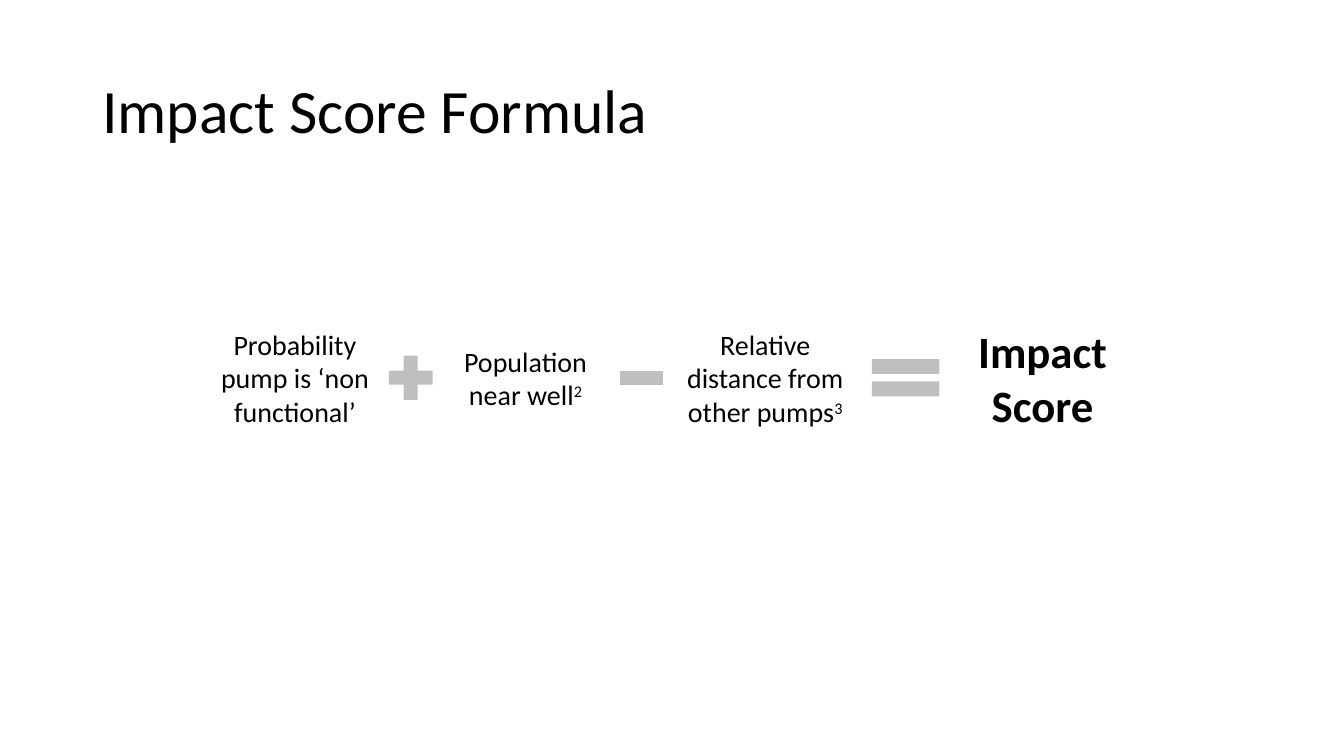
from pptx import Presentation
from pptx.dml.color import RGBColor
from pptx.enum.shapes import MSO_SHAPE
from pptx.enum.text import MSO_ANCHOR, PP_ALIGN
from pptx.util import Cm, Pt

FONT, BLACK, GREY = "Calibri", "000000", "BFBFBF"
TITLE = "Impact Score Formula"
MIDDLE = 9.52

# left, width, height, size, bold, text, superscript
TERMS = [
    (5.11, 4.65, 2.82, 20, False, "Probability pump is ‘non functional’", ""),
    (10.92, 4.65, 1.96, 20, False, "Population near well", "2"),
    (16.76, 5.05, 2.82, 20, False, "Relative distance from other pumps", "3"),
    (23.8, 4.95, 3.0, 32, True, "Impact Score", ""),
]
# left, width, height, shape
OPERATORS = [
    (9.6, 1.5, 1.52, MSO_SHAPE.MATH_PLUS),
    (15.42, 1.5, 1.52, MSO_SHAPE.MATH_MINUS),
    (21.67, 2.31, 1.6, MSO_SHAPE.MATH_EQUAL),
]


def colour(value):
    """Turn a hex string into a colour."""
    return RGBColor.from_string(value)


def add_span(para, text, size, bold=False, raised=False):
    """Add one styled run to a paragraph."""
    span = para.add_run()
    span.text = text
    span.font.name, span.font.size, span.font.bold = FONT, Pt(size), bold
    span.font.color.rgb = colour(BLACK)
    if raised:
        span._r.get_or_add_rPr().set("baseline", "30000")


def add_text(page, left, top, width, height, align):
    """Add a wrapped, vertically centred text box and return its paragraph."""
    box = page.shapes.add_textbox(Cm(left), Cm(top), Cm(width), Cm(height))
    box.text_frame.word_wrap = True
    box.text_frame.vertical_anchor = MSO_ANCHOR.MIDDLE
    para = box.text_frame.paragraphs[0]
    para.alignment = align
    return para


def add_operator(page, left, width, height, kind):
    """Add a grey operator centred on the formula line."""
    sign = page.shapes.add_shape(
        kind, Cm(left), Cm(MIDDLE - height / 2), Cm(width), Cm(height))
    sign.shadow.inherit = False
    sign.fill.solid()
    sign.fill.fore_color.rgb = colour(GREY)
    sign.line.fill.background()


def main():
    """Build and save the slide."""
    deck = Presentation()
    deck.slide_width, deck.slide_height = Cm(33.87), Cm(19.05)
    page = deck.slides.add_slide(deck.slide_layouts[6])
    heading = add_text(page, 2.33, 1.01, 29.21, 3.68, PP_ALIGN.LEFT)
    heading.line_spacing = 0.9
    add_span(heading, TITLE, 44)
    for left, width, height, size, bold, text, power in TERMS:
        para = add_text(page, left, MIDDLE - height / 2, width, height, PP_ALIGN.CENTER)
        add_span(para, text, size, bold)
        if power:
            add_span(para, power, size, bold, raised=True)
    for operator in OPERATORS:
        add_operator(page, *operator)
    deck.save("out.pptx")


if __name__ == "__main__":
    main()
